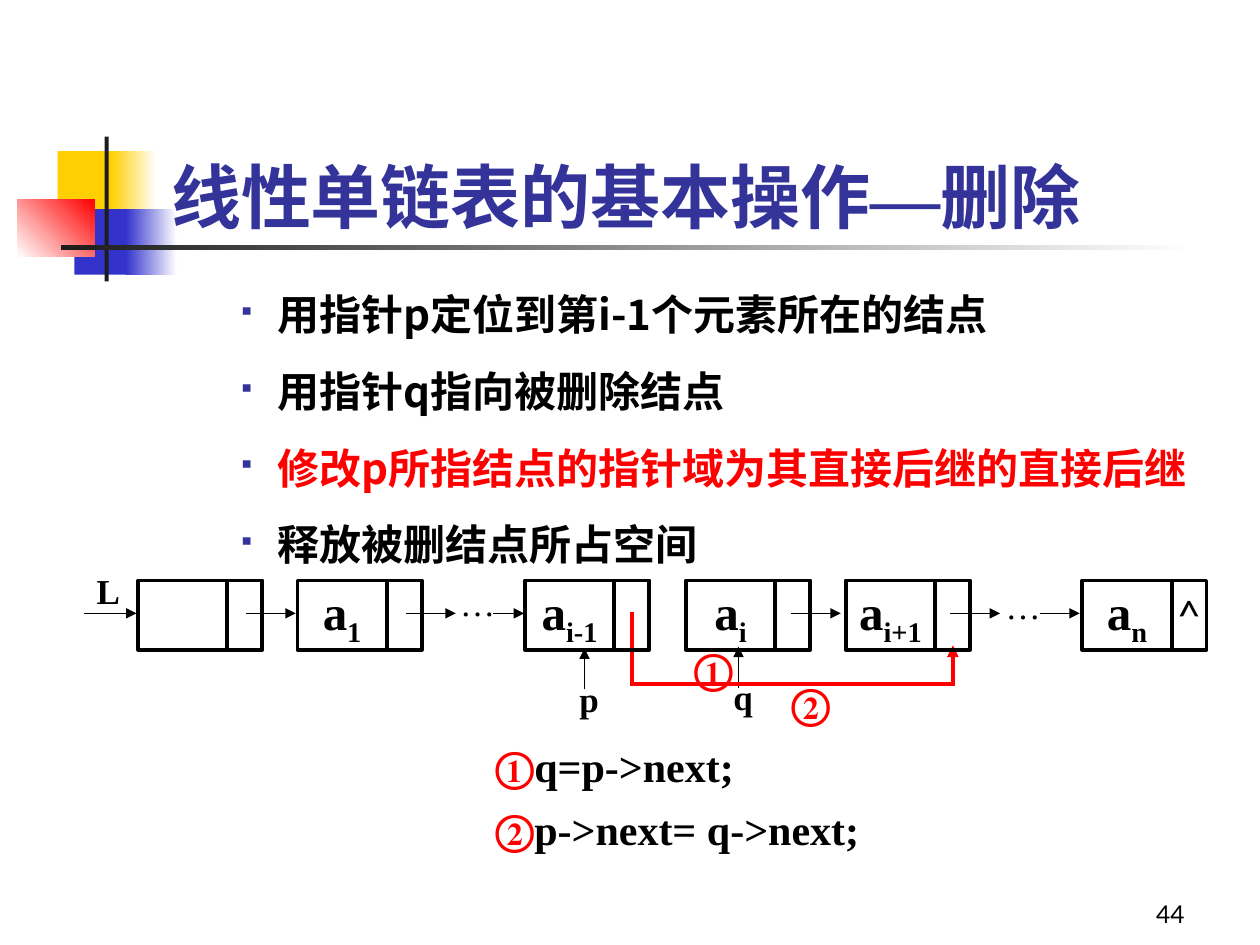
from dataclasses import dataclass
from typing import NamedTuple

from lxml import etree
from pptx import Presentation
from pptx import util as u
from pptx.dml.color import RGBColor
from pptx.enum import shapes, text
from pptx.oxml import ns


@dataclass(frozen=True)
class Theme:
    black: str = "000000"
    white: str = "FFFFFF"
    red: str = "FF0000"
    blue: str = "333399"
    royal: str = "3333CC"
    gold: str = "FFCF01"
    dark: str = "1C1C1C"
    sans: str = "Lato"
    han: str = "Noto Sans CJK SC"
    serif: str = "Times New Roman"
    title: int = 40
    node: int = 28
    body: int = 24
    label: int = 20
    page: int = 14
    thick: float = 2.25
    mid: float = 1
    thin: float = 0.75


T = Theme()


class Box(NamedTuple):
    x: float
    y: float
    w: float
    h: float


class Run(NamedTuple):
    text: str
    size: int = T.label
    color: str = T.black
    font: str = T.serif
    bold: bool = True
    base: int = 0


class Block(NamedTuple):
    box: Box
    fill: str
    fade: str = ""
    angle: int = 0


class Node(NamedTuple):
    x: float
    sub: str = ""
    end: str = ""


class Line(NamedTuple):
    x1: float
    y1: float
    x2: float
    y2: float
    color: str = T.black
    width: float = T.thin
    arrow: bool = True


class Label(NamedTuple):
    box: Box
    runs: list[Run]
    wrap: bool = True
    grow: bool = True
    low: bool = False
    right: bool = False


def tint(code: str) -> RGBColor:
    return RGBColor.from_string(code)


def add_run(para, run: Run) -> None:
    piece = para.add_run()
    piece.text = run.text
    font = piece.font
    font.size, font.bold, font.name = u.Pt(run.size), run.bold, run.font
    font.color.rgb = tint(run.color)
    props = piece._r.get_or_add_rPr()
    if run.base:
        props.set("baseline", str(run.base * 1000))
    face = T.serif if run.font == T.serif else T.han
    props.find(ns.qn("a:latin")).addnext(
        etree.Element(ns.qn("a:ea"), typeface=face))


def add_rect(slide, box: Box):
    rect = slide.shapes.add_shape(
        shapes.MSO_SHAPE.RECTANGLE, *map(u.Pt, box))
    rect.shadow.inherit = False
    return rect


def draw_block(slide, block: Block) -> None:
    rect = add_rect(slide, block.box)
    rect.line.fill.background()
    if not block.fade:
        rect.fill.solid()
        rect.fill.fore_color.rgb = tint(block.fill)
        return
    rect.fill.gradient()
    rect.fill.gradient_angle = block.angle
    for stop, code in zip(rect.fill.gradient_stops, (block.fill, block.fade)):
        stop.color.rgb = tint(code)


def draw_cell(slide, box: Box, runs: list[Run]) -> None:
    rect = add_rect(slide, box)
    rect.fill.background()
    rect.line.color.rgb = tint(T.black)
    rect.line.width = u.Pt(T.thick)
    frame = rect.text_frame
    frame.word_wrap = False
    frame.vertical_anchor = text.MSO_ANCHOR.MIDDLE
    para = frame.paragraphs[0]
    para.alignment = text.PP_ALIGN.CENTER
    for run in runs:
        add_run(para, run)


def draw_node(slide, node: Node) -> None:
    y, w, h = 331.7, 51, 39.6
    name = [Run("a", T.node), Run(node.sub, T.node, base=-25)]
    end = [Run(node.end, T.body, font=T.sans, bold=False)]
    draw_cell(slide, Box(node.x, y, w, h), name if node.sub else [])
    draw_cell(slide, Box(node.x + w, y, 20, h), end if node.end else [])


def draw_line(slide, line: Line) -> None:
    link = slide.shapes.add_connector(
        shapes.MSO_CONNECTOR.STRAIGHT,
        *map(u.Pt, (line.x1, line.y1, line.x2, line.y2)))
    link.line.color.rgb = tint(line.color)
    link.line.width = u.Pt(line.width)
    props = link._element.spPr
    if line.arrow:
        etree.SubElement(props.find(ns.qn("a:ln")), ns.qn("a:tailEnd"),
                         type="triangle")
    etree.SubElement(props, ns.qn("a:effectLst"))


def draw_label(slide, label: Label) -> None:
    frame = slide.shapes.add_textbox(*map(u.Pt, label.box)).text_frame
    frame.word_wrap = label.wrap
    if label.grow:
        frame.auto_size = text.MSO_AUTO_SIZE.SHAPE_TO_FIT_TEXT
    if label.low:
        frame.vertical_anchor = text.MSO_ANCHOR.BOTTOM
    para = frame.paragraphs[0]
    if label.right:
        para.alignment = text.PP_ALIGN.RIGHT
    for run in label.runs:
        add_run(para, run)


def draw_list(slide, box: Box, items: list[Run]) -> None:
    frame = slide.shapes.add_textbox(*map(u.Pt, box)).text_frame
    frame.word_wrap = True
    frame.margin_top = u.Pt(6)
    for i, item in enumerate(items):
        para = frame.paragraphs[0] if i == 0 else frame.add_paragraph()
        props = para._p.get_or_add_pPr()
        props.set("marL", str(u.Pt(58.5)))
        props.set("indent", str(u.Pt(-22.5)))
        shade = etree.SubElement(props, ns.qn("a:buClr"))
        etree.SubElement(shade, ns.qn("a:srgbClr"), val=T.blue)
        etree.SubElement(props, ns.qn("a:buSzPct"), val="55000")
        etree.SubElement(props, ns.qn("a:buChar"), char="▪")
        para.line_spacing = u.Pt(28.8)
        para.space_before = u.Pt(15 if i else 0)
        add_run(para, item)


def mark(sign: str) -> Run:
    return Run(sign, T.body, T.red)


BLOCKS = [
    Block(Box(33, 86.4, 34.5, 37.5), T.gold),
    Block(Box(63.4, 86.4, 26, 37.5), T.gold, T.white),
    Block(Box(42.5, 119.5, 33, 37.5), T.royal),
    Block(Box(72, 119.5, 29, 37.5), T.royal, T.white),
    Block(Box(10, 113.8, 44, 33), T.white, T.red, 45),
    Block(Box(59.8, 78, 2.3, 82.8), T.dark),
    Block(Box(34.6, 140.2, 648, 2.5), T.dark, T.white),
]
STEPS = [
    Run("用指针p定位到第i-1个元素所在的结点", T.body, font=T.han),
    Run("用指针q指向被删除结点", T.body, font=T.han),
    Run("修改p所指结点的指针域为其直接后继的直接后继", T.body, T.red, T.han),
    Run("释放被删结点所占空间", T.body, font=T.han),
]
NODES = [Node(79), Node(170, "1"), Node(300, "i-1"), Node(392, "i"),
         Node(483.3, "i+1"), Node(618.5, "n", "^")]
LINKS = [(48, 78), (140.5, 169), (232, 260.5), (282, 299.5),
         (452, 480.5), (543, 571.5), (594, 617)]
LINES = [
    Line(334, 393.8, 334, 370.5, width=T.mid),
    Line(422, 393.2, 422, 369.5, width=T.mid),
    Line(361.4, 349.8, 361.4, 389.5, T.red, T.thick, False),
    Line(360, 391, 546, 391, T.red, T.thick, False),
    Line(544.5, 391, 544.5, 368.8, T.red, T.thick),
] + [Line(a, 350.5, b, 350.5) for a, b in LINKS]
TITLE = [Run("线性单链表的基本操作", T.title, T.blue, T.sans),
         Run("—", T.title, T.blue),
         Run("删除", T.title, T.blue, T.sans)]
DOTS = [Run("…", bold=False)]
LABELS = [
    Label(Box(90.7, 49, 613.5, 90), TITLE, grow=False, low=True),
    Label(Box(324, 383.8, 30, 31.5), [Run("p")]),
    Label(Box(412, 382.5, 30, 31.5), [Run("q")]),
    Label(Box(48.2, 321.8, 27.5, 31.5), [Run("L")], wrap=False),
    Label(Box(255.8, 329, 54, 31.5), DOTS),
    Label(Box(567.5, 330.5, 54, 31.5), DOTS),
    Label(Box(389.5, 363.6, 36.5, 36), [mark("①")], wrap=False),
    Label(Box(445, 383.8, 36.5, 36), [mark("②")], wrap=False),
    Label(Box(275.8, 419.8, 330, 36), [mark("①"), Run("q=p->next;", T.body)]),
    Label(Box(275.8, 455.8, 330, 36),
          [mark("②"), Run("p->next= q->next;", T.body)]),
    Label(Box(534, 498, 150, 36),
          [Run("44", T.page, font=T.sans, bold=False)],
          grow=False, low=True, right=True),
]


def main() -> None:
    deck = Presentation()
    deck.slide_width, deck.slide_height = u.Pt(720), u.Pt(540)
    slide = deck.slides.add_slide(deck.slide_layouts[6])
    for block in BLOCKS:
        draw_block(slide, block)
    draw_list(slide, Box(93, 159, 612, 324), STEPS)
    for line in LINES:
        draw_line(slide, line)
    for node in NODES:
        draw_node(slide, node)
    for label in LABELS:
        draw_label(slide, label)
    deck.save("out.pptx")


if __name__ == "__main__":
    main()
